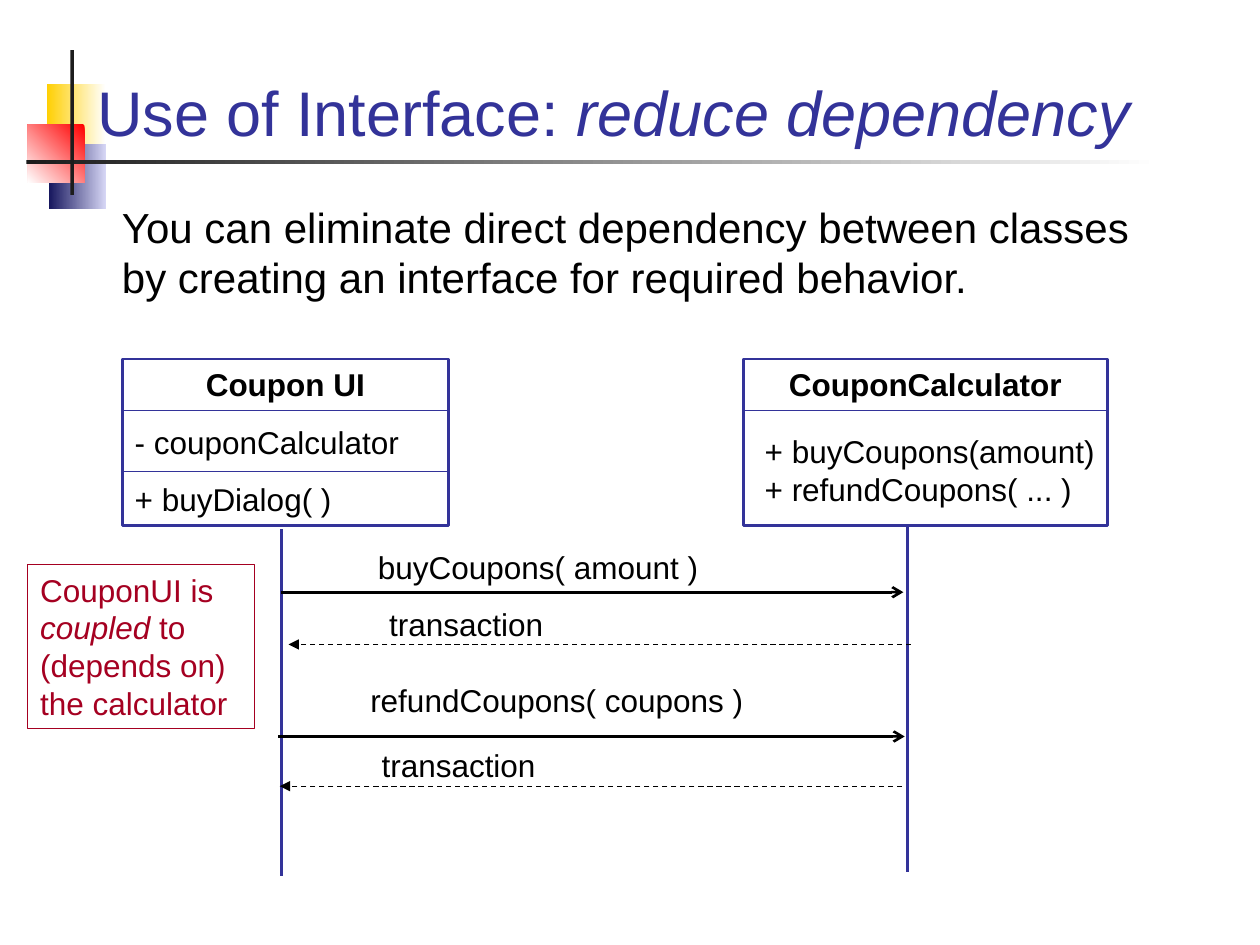
from lxml import etree
from pptx import Presentation
from pptx.dml.color import RGBColor
from pptx.enum.dml import MSO_LINE
from pptx.enum.shapes import MSO_CONNECTOR, MSO_SHAPE
from pptx.enum.text import MSO_ANCHOR, MSO_AUTO_SIZE, PP_ALIGN
from pptx.oxml.ns import qn
from pptx.util import Inches, Pt

RECT, LINE = MSO_SHAPE.RECTANGLE, MSO_CONNECTOR.STRAIGHT
TOP, BOTTOM = MSO_ANCHOR.TOP, MSO_ANCHOR.BOTTOM
LEFT, CENTER = PP_ALIGN.LEFT, PP_ALIGN.CENTER
BLUE, RED, BLACK, DARK = "333399", "A50021", "000000", "1C1C1C"

# Content: a paragraph is a list of (text, style) runs
TITLE = [("Use of Interface: ", ""), ("reduce dependency", "i")]
INTRO = [("You can eliminate direct dependency between classes "
          "by creating an interface for required behavior.", "")]
NOTE = [("CouponUI is ", ""), ("coupled", "i"),
        (" to (depends on) the calculator", "")]
METHODS = [("+ buyCoupons(amount)\v+ refundCoupons( ... )", "")]

# Decor: box, first colour, last colour, angle
DECOR = [
    ((0.37, 0.67, 0.47, 0.52), "FFCF01", "FFFFFF", 0),
    ((0.39, 1.14, 0.45, 0.52), "17175E", "D6D6F5", 0),
    ((0.22, 0.99, 0.45, 0.46), "FF0000", "FFFFFF", 225),
    ((0.21, 1.27, 8.99, 0.03), DARK, "FFFFFF", 0),
    ((0.56, 0.4, 0.03, 1.15), DARK, DARK, 0),
]

# Classes: left, width, heading, members, divider heights
CLASS_TOP, CLASS_H = 2.85, 1.32
CLASSES = [
    (0.97, 2.59, "Coupon UI", ["- couponCalculator", "+ buyDialog( )"],
     [3.26, 3.74]),
    (5.9, 2.89, "CouponCalculator", [], [3.26]),
]
LIVES = [(2.235, 4.2), (7.2, 4.17)]
LIFE_H = 2.75

# Messages: text, text left, text top, line start, line end, line height, reply
MESSAGES = [
    ("buyCoupons( amount )", 2.9, 4.3, 2.23, 7.17, 4.7, False),
    ("transaction", 2.99, 4.75, 7.23, 2.29, 5.115, True),
    ("refundCoupons( coupons )", 2.84, 5.36, 2.21, 7.18, 5.845, False),
    ("transaction", 2.93, 5.87, 7.16, 2.22, 6.24, True),
]


def color(code):
    return RGBColor.from_string(code)


def write(shape, paras, size=18, code=BLACK, aligns=(), anchor=TOP):
    frame = shape.text_frame
    frame.word_wrap = True
    frame.auto_size = MSO_AUTO_SIZE.NONE
    frame.vertical_anchor = anchor
    for n, runs in enumerate(paras):
        para = frame.add_paragraph() if n else frame.paragraphs[0]
        para.alignment = aligns[n] if n < len(aligns) else LEFT
        para.space_before = Pt(11.2 if n else 0)
        para.text = "\v".join(runs) if isinstance(runs, str) else ""
        for text, style in runs:
            for k, part in enumerate(text.split("\v")):
                if k:
                    para.add_line_break()
                run = para.add_run()
                run.text = part
                font = run.font
                font.name, font.size = "Arial", Pt(size)
                font.bold, font.italic = style == "b", style == "i"
                font.color.rgb = color(code)


def label(box, paras, **look):
    shape = slide.shapes.add_textbox(*map(Inches, box))
    write(shape, paras, **look)


def frame_box(box, code, width):
    shape = slide.shapes.add_shape(RECT, *map(Inches, box))
    shape.shadow.inherit = False
    shape.fill.background()
    shape.line.color.rgb = color(code)
    shape.line.width = Pt(width)
    return shape


def rule(x1, y1, x2, y2, code, width, head=None, dashed=False):
    line = slide.shapes.add_connector(LINE, *map(Inches, (x1, y1, x2, y2)))
    line.line.color.rgb = color(code)
    line.line.width = Pt(width)
    if dashed:
        line.line.dash_style = MSO_LINE.DASH
    if head:
        etree.SubElement(line.line._get_or_add_ln(), qn("a:tailEnd"), type=head)
    etree.SubElement(line._element.spPr, qn("a:effectLst"))


deck = Presentation()
deck.slide_width, deck.slide_height = Inches(10), Inches(7.5)
slide = deck.slides.add_slide(deck.slide_layouts[5])

# Decor
for box, first, last, angle in DECOR:
    shape = slide.shapes.add_shape(RECT, *map(Inches, box))
    shape.shadow.inherit = False
    shape.line.fill.background()
    shape.fill.gradient()
    shape.fill.gradient_angle = angle
    for stop, code in zip(shape.fill.gradient_stops, (first, last)):
        stop.color.rgb = color(code)

# Title and intro
title = slide.shapes.title
title.left, title.top, title.width, title.height = map(
    Inches, (0.67, 0.28, 8.66, 0.95))
write(title, [TITLE], size=36, code=BLUE, anchor=BOTTOM)
slide.shapes._spTree.append(title._element)
label((0.87, 1.55, 8.26, 0.9), [INTRO], size=24)

# Classes
for left, width, name, members, cuts in CLASSES:
    shape = frame_box((left, CLASS_TOP, width, CLASS_H), BLUE, 1.5)
    paras = [[(name, "b")]] + [[(text, "")] for text in members]
    write(shape, paras, aligns=[CENTER])
    for y in cuts:
        rule(left, y, left + width, y, BLUE, 0.75)
label((5.97, 3.38, 2.85, 0.7), [METHODS])

# Lifelines and messages
for x, y in LIVES:
    rule(x, y, x, y + LIFE_H, BLUE, 1.5)
for text, left, top, start, end, y, reply in MESSAGES:
    rule(start, y, end, y, BLACK, 0.75 if reply else 1.5,
         "triangle" if reply else "arrow", reply)
    label((left, top, 3.71, 0.4), [[(text, "")]])

# Note
write(frame_box((0.22, 4.48, 1.8, 1.3), RED, 0.75), [NOTE], code=RED)

deck.save("out.pptx")
